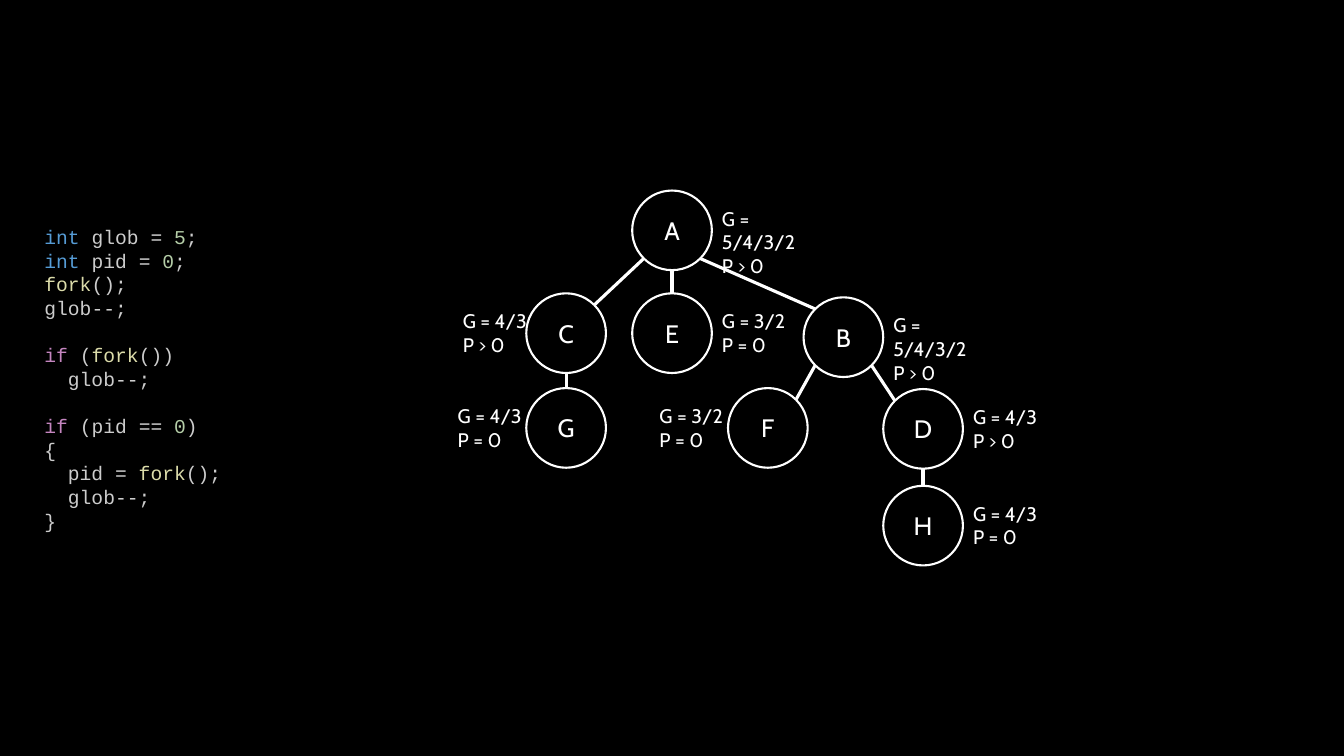
from lxml.etree import SubElement
from pptx import Presentation
from pptx.dml.color import RGBColor
from pptx.enum.shapes import MSO_CONNECTOR, MSO_SHAPE
from pptx.enum.text import MSO_ANCHOR, MSO_AUTO_SIZE, PP_ALIGN
from pptx.oxml.ns import qn
from pptx.util import Inches, Pt

WIDTH, HEIGHT = Inches(13.33), Inches(7.5)
RADIUS = Inches(0.395)
DIAGONAL = 0.5 ** 0.5
INSET = Inches(0.05)
CODE_SIZE = 14
CODE_PITCH = Pt(16.9)
WHITE, BLACK, PLAIN = "FFFFFF", "000000", "CCCCCC"

TOKEN_COLOURS = {
    "int": "569CD6", "if": "C586C0", "fork": "DCDCAA",
    "=": "D4D4D4", "==": "D4D4D4", "--": "D4D4D4",
    "5": "B5CEA8", "0": "B5CEA8",
}
# Each line: indent in characters, blank lines above, tokens split by a bar.
CODE = [
    (0, 0, "int| glob |= |5|;"),
    (0, 0, "int| pid |= |0|;"),
    (0, 0, "fork|();"),
    (0, 0, "glob|--|;"),
    (0, 1, "if| (|fork|())"),
    (2, 0, "glob|--|;"),
    (0, 1, "if| (pid |== |0|)"),
    (0, 0, "{"),
    (2, 0, "pid |= |fork|();"),
    (2, 0, "glob|--|;"),
    (0, 0, "}"),
]
CENTRES = {
    "A": (50, 30.47), "B": (62.75, 44.6), "C": (42.12, 44.07),
    "D": (68.68, 56.73), "E": (50, 44.07), "F": (57.13, 56.6),
    "G": (42.12, 56.6), "H": (68.68, 69.53),
}
RIGHT, LEFT = 3.34, -8.44
LABELS = {
    "A": ("G = 5/4/3/2\nP > 0", RIGHT, 8.1),
    "B": ("G = 5/4/3/2\nP > 0", RIGHT, 8.55),
    "C": ("G = 4/3\nP > 0", -8.06, 5.7),
    "D": ("G = 4/3\nP > 0", RIGHT, 6.08),
    "E": ("G = 3/2\nP = 0", RIGHT, 5.7),
    "F": ("G = 3/2\nP = 0", LEFT, 6.08),
    "G": ("G = 4/3\nP = 0", LEFT, 5.7),
    "H": ("G = 4/3\nP = 0", RIGHT, 6.08),
}
EDGES = ["AB", "AC", "AE", "BD", "BF", "CG", "DH"]


def colour(hex_string):
    """Turn a hex string into a colour."""
    return RGBColor.from_string(hex_string)


def across(share):
    """Return a percentage of the slide's width."""
    return round(WIDTH * share / 100)


def down(share):
    """Return a percentage of the slide's height."""
    return round(HEIGHT * share / 100)


def style(span, size, font, hex_string):
    """Format one run."""
    span.font.size = Pt(size)
    span.font.name = font
    span.font.color.rgb = colour(hex_string)


def style_all(frame, size):
    """Format every run of a diagram text."""
    for para in frame.paragraphs:
        for span in para.runs:
            style(span, size, "Cabin", WHITE)


def add_box(shapes, left, top, width, height):
    """Add a wrapping text box with narrow insets and return its frame."""
    frame = shapes.add_textbox(left, top, width, height).text_frame
    frame.word_wrap = True
    frame.auto_size = MSO_AUTO_SIZE.SHAPE_TO_FIT_TEXT
    frame.margin_left = frame.margin_right = INSET
    frame.margin_top = frame.margin_bottom = INSET
    return frame


def add_code(shapes):
    """Add the highlighted program listing."""
    frame = add_box(shapes, across(2.93), down(29.07), across(28.73), down(42.27))
    for number, (indent, blanks, tokens) in enumerate(CODE):
        para = frame.add_paragraph() if number else frame.paragraphs[0]
        para.line_spacing = CODE_PITCH
        para.space_before = CODE_PITCH * blanks
        para._p.get_or_add_pPr().set("marL", str(Pt(CODE_SIZE * 0.6 * indent)))
        for token in tokens.split("|"):
            span = para.add_run()
            span.text = token
            style(span, CODE_SIZE, "Courier New",
                  TOKEN_COLOURS.get(token.strip(), PLAIN))


def add_edge(shapes, parent, child):
    """Join the facing rims of two processes."""
    (parent_x, parent_y), (child_x, child_y) = CENTRES[parent], CENTRES[child]
    side = (child_x > parent_x) - (child_x < parent_x)
    reach_x = round(RADIUS * DIAGONAL * side)
    reach_y = round(RADIUS * DIAGONAL) if side else RADIUS
    edge = shapes.add_connector(
        MSO_CONNECTOR.STRAIGHT,
        across(parent_x) + reach_x, down(parent_y) + reach_y,
        across(child_x) - reach_x, down(child_y) - reach_y)
    edge.line.color.rgb = colour(WHITE)
    edge.line.width = Pt(2.25)
    SubElement(edge._element.spPr, qn("a:effectLst"))


def add_process(shapes, name):
    """Add the circle that stands for one process."""
    x, y = CENTRES[name]
    circle = shapes.add_shape(MSO_SHAPE.OVAL, across(x) - RADIUS,
                              down(y) - RADIUS, 2 * RADIUS, 2 * RADIUS)
    circle.shadow.inherit = False
    circle.fill.background()
    circle.line.color.rgb = colour(WHITE)
    circle.line.width = Pt(1.5)
    frame = circle.text_frame
    frame.text = name
    frame.vertical_anchor = MSO_ANCHOR.MIDDLE
    frame.margin_left = frame.margin_right = INSET
    frame.margin_top = frame.margin_bottom = INSET
    frame.paragraphs[0].alignment = PP_ALIGN.CENTER
    style_all(frame, 18)


def add_label(shapes, name):
    """Add the variable values beside one process."""
    text, offset, width = LABELS[name]
    x, y = CENTRES[name]
    frame = add_box(shapes, across(x + offset), down(y - 3.8),
                    across(width), down(7.6))
    frame.text = text
    style_all(frame, 14)


def main():
    """Build the slide with the program and its process tree."""
    deck = Presentation()
    deck.slide_width, deck.slide_height = WIDTH, HEIGHT
    page = deck.slides.add_slide(deck.slide_layouts[6])
    page.background.fill.solid()
    page.background.fill.fore_color.rgb = colour(BLACK)
    add_code(page.shapes)
    tree = page.shapes.add_group_shape().shapes
    for parent, child in EDGES:
        add_edge(tree, parent, child)
    for name in CENTRES:
        add_process(tree, name)
        add_label(tree, name)
    deck.save("out.pptx")


if __name__ == "__main__":
    main()
